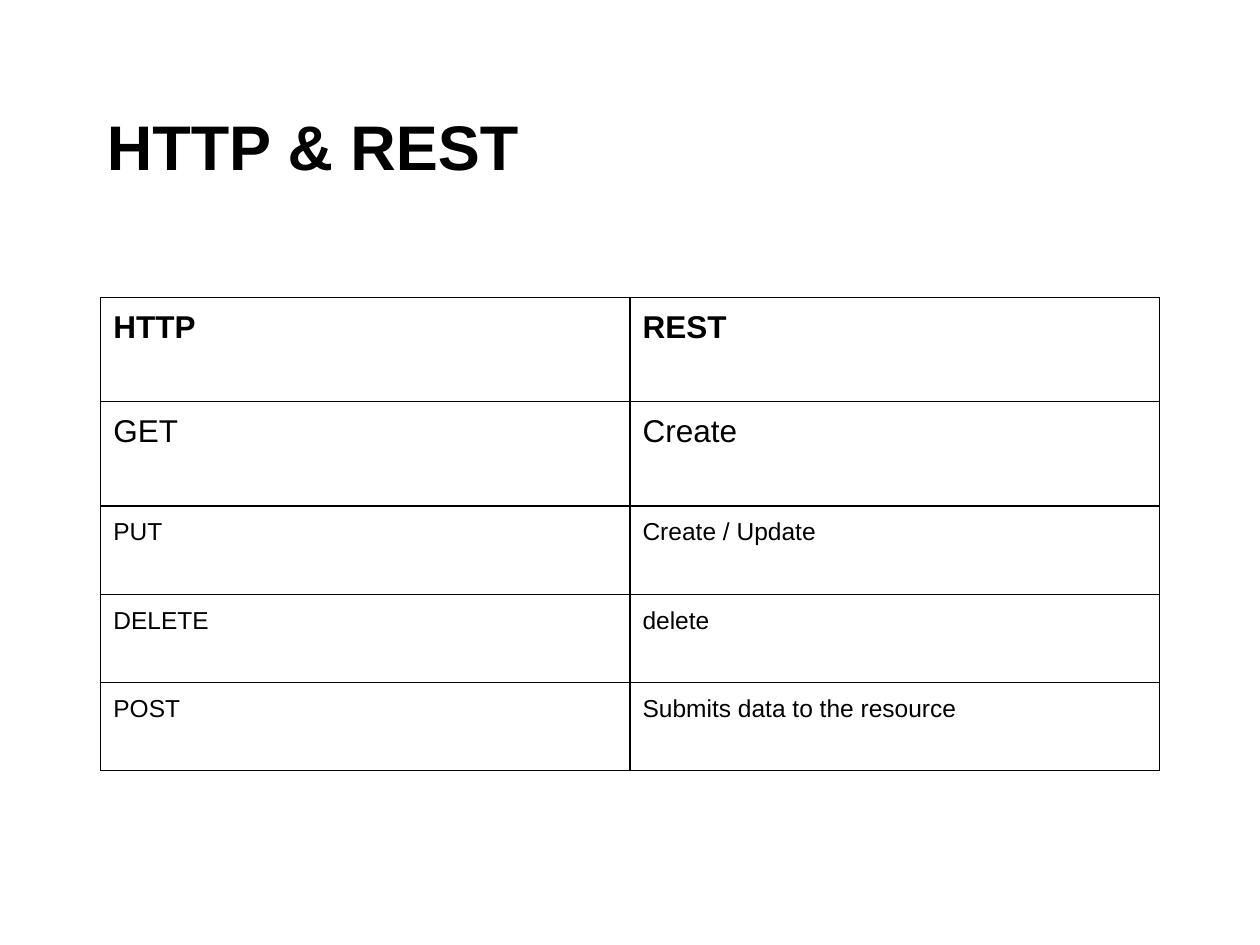
from pptx import Presentation as Deck
from pptx.dml.color import RGBColor as Color
from pptx.enum.text import MSO_ANCHOR as Anchor
from pptx.util import Pt
from lxml.etree import SubElement as Sub
from pptx.oxml.ns import qn

BLACK = Color(0, 0, 0)
INSET = Pt(7.2)
HEADS = ("HTTP", "REST")
ROWS = [
    ("GET", "Create"),
    ("PUT", "Create / Update"),
    ("DELETE", "delete"),
    ("POST", "Submits data to the resource"),
]


class Page:
    font = "Arial"
    rule = Pt(0.75)
    pads = {f"margin_{side}": INSET for side in ("left", "top", "right", "bottom")}

    def __init__(self, slide):
        self.slide = slide

    def label(self, para, text, size, bold):
        run = para.add_run()
        run.text = text
        for key, val in {"name": self.font, "size": Pt(size), "bold": bold}.items():
            setattr(run.font, key, val)
        run.font.color.rgb = BLACK

    def title(self, text, left, top, width, height, size, indent):
        box = self.slide.shapes.add_textbox(Pt(left), Pt(top), Pt(width), Pt(height))
        frame = box.text_frame
        form = {"word_wrap": True, "vertical_anchor": Anchor.BOTTOM, **self.pads}
        for key, val in form.items():
            setattr(frame, key, val)
        para = frame.paragraphs[0]
        props = para._p.get_or_add_pPr()
        for key, val in {"marL": 0, "indent": Pt(indent)}.items():
            props.set(key, str(val))
        self.label(para, text, size, True)

    def border(self, cell):
        props = cell._tc.get_or_add_tcPr()
        for side in ("lnL", "lnR", "lnT", "lnB"):
            line = Sub(props, qn(f"a:{side}"), w=str(self.rule))
            fill = Sub(line, qn("a:solidFill"))
            Sub(fill, qn("a:srgbClr"), val=str(BLACK))

    def cell(self, cell, text, size, bold):
        for key, val in self.pads.items():
            setattr(cell, key, val)
        self.border(cell)
        cell.fill.background()
        self.label(cell.text_frame.paragraphs[0], text, size, bold)

    def table(self, rows, left, top, wide, highs, sizes):
        count = len(rows[0])
        frame = self.slide.shapes.add_table(
            len(rows), count, Pt(left), Pt(top), Pt(wide * count), Pt(sum(highs))
        )
        grid = frame.table
        for key in ("first_row", "horz_banding"):
            setattr(grid, key, False)
        for col in grid.columns:
            col.width = Pt(wide)
        for i, (texts, high, size) in enumerate(zip(rows, highs, sizes)):
            grid.rows[i].height = Pt(high)
            for j, text in enumerate(texts):
                self.cell(grid.cell(i, j), text, size, i == 0)


def main():
    deck = Deck()
    deck.slide_width, deck.slide_height = Pt(720), Pt(540)
    page = Page(deck.slides.add_slide(deck.slide_layouts[6]))
    page.title("HTTP & REST", 36, 21.6, 648, 90, 36, 18)
    highs = [59.6] * 2 + [50.4] * 3
    sizes = [18] * 2 + [14] * 3
    page.table([HEADS, *ROWS], 57.6, 170, 302.4, highs, sizes)
    deck.save("out.pptx")


if __name__ == "__main__":
    main()
